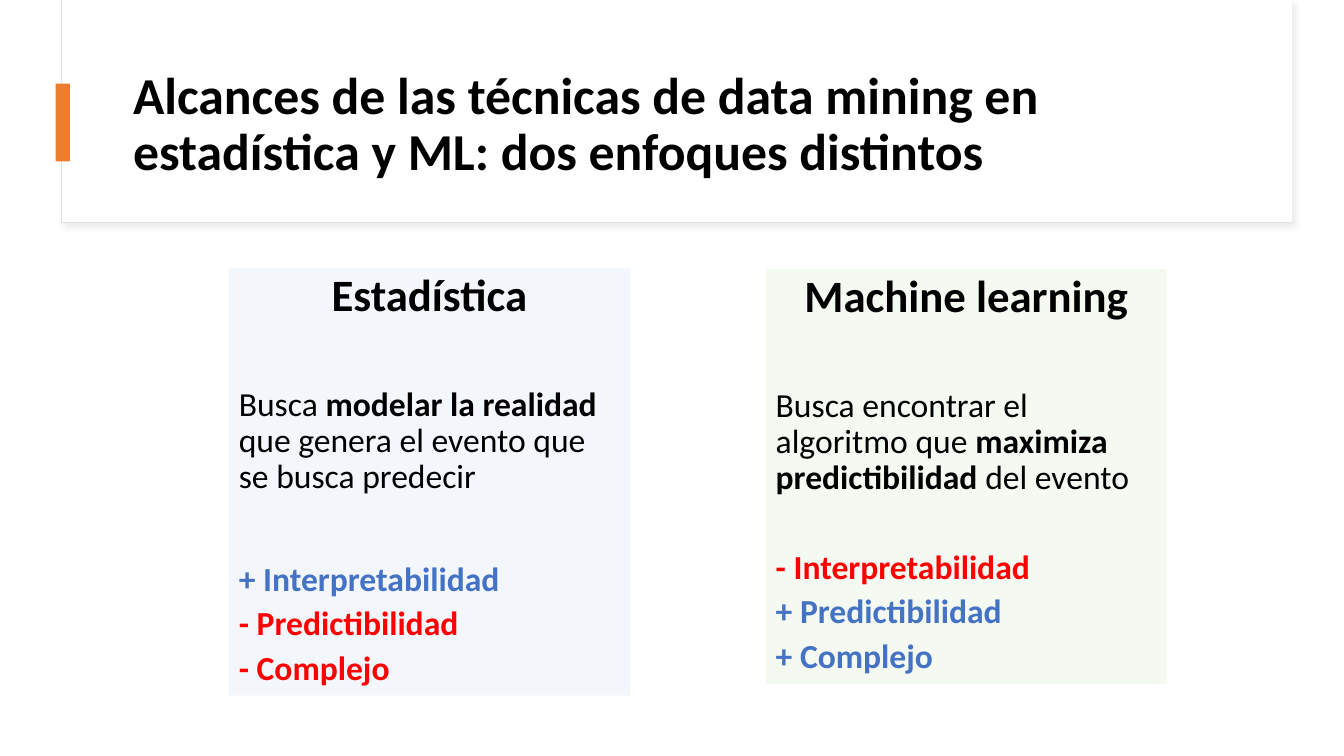
from dataclasses import dataclass

import pptx
import pptx.dml.color
import pptx.enum.shapes
import pptx.enum.text
import pptx.oxml
import pptx.oxml.ns
import pptx.util

Cm = pptx.util.Cm
Pt = pptx.util.Pt
ALIGN = pptx.enum.text.PP_ALIGN
ANCHOR = pptx.enum.text.MSO_ANCHOR


@dataclass(frozen=True)
class Theme:
    font: str = "Calibri"
    title_size: int = 37
    heading_size: int = 32
    body_size: int = 24
    black: str = "000000"
    white: str = "FFFFFF"
    border: str = "E1E1E1"
    shadow: str = "D9D9D9"
    accent: str = "ED7D31"
    plus: str = "4472C4"
    minus: str = "FF0000"
    blue_card: str = "DEEBF7"
    green_card: str = "E2F0D9"


THEME = Theme()


def rgb(color):
    return pptx.dml.color.RGBColor.from_string(color)


def apply(target, values):
    for name, value in values.items():
        setattr(target, name, value)


def add_rect(s, box, fill, border=None, alpha=None):
    sp = s.shapes.add_shape(pptx.enum.shapes.MSO_SHAPE.RECTANGLE,
                            *(Cm(v) for v in box))
    sp.shadow.inherit = False
    sp.fill.solid()
    sp.fill.fore_color.rgb = rgb(fill)
    if border:
        sp.line.color.rgb = rgb(border)
        sp.line.width = Pt(0.75)
    else:
        sp.line.fill.background()
    if alpha:
        clr = sp.fill._xPr.find(".//" + pptx.oxml.ns.qn("a:srgbClr"))
        clr.append(pptx.oxml.parse_xml(
            f'<a:alpha {pptx.oxml.ns.nsdecls("a")} val="{alpha * 1000}"/>'))
    return sp


def add_shadow(sp):
    effects = sp.element.spPr.find(pptx.oxml.ns.qn("a:effectLst"))
    effects.append(pptx.oxml.parse_xml(
        f'<a:outerShdw {pptx.oxml.ns.nsdecls("a")} blurRad="{Pt(4)}" '
        f'dist="{Pt(3)}" dir="2700000" algn="tl" rotWithShape="0">'
        f'<a:srgbClr val="{THEME.shadow}"><a:alpha val="50000"/></a:srgbClr>'
        '</a:outerShdw>'))


def add_run(p, text, size, color=THEME.black, bold=False):
    r = p.add_run()
    r.text = text
    apply(r.font, {"name": THEME.font, "size": Pt(size), "bold": bold})
    r.font.color.rgb = rgb(color)


def add_title(s, text):
    title = s.shapes.title
    apply(title, {"left": Cm(3.1), "top": Cm(1.52),
                  "width": Cm(28.24), "height": Cm(3.28)})
    tf = title.text_frame
    apply(tf, {"word_wrap": True, "vertical_anchor": ANCHOR.MIDDLE,
               "auto_size": pptx.enum.text.MSO_AUTO_SIZE.NONE})
    p = tf.paragraphs[0]
    apply(p, {"alignment": ALIGN.LEFT, "line_spacing": 0.9})
    add_run(p, text, THEME.title_size, bold=True)
    # Bring the title in front of the header frame
    title.element.getparent().append(title.element)


def add_card(s, box, fill, heading, description, verdicts, verdict_gap):
    tf = add_rect(s, box, fill, alpha=36).text_frame
    apply(tf, {"word_wrap": True, "vertical_anchor": ANCHOR.TOP})

    def add_paragraph(before=0, align=ALIGN.LEFT):
        p = tf.add_paragraph() if tf.paragraphs[0].runs else tf.paragraphs[0]
        apply(p, {"alignment": align, "line_spacing": 0.9,
                  "space_after": Pt(6)})
        if before:
            p.space_before = Pt(before)
        return p

    add_run(add_paragraph(align=ALIGN.CENTER), heading,
            THEME.heading_size, bold=True)

    p = add_paragraph(before=41)
    for text, bold in description:
        add_run(p, text, THEME.body_size, bold=bold)

    # Strengths in blue, weaknesses in red
    for i, text in enumerate(verdicts):
        color = THEME.plus if text.startswith("+") else THEME.minus
        add_run(add_paragraph(before=0 if i else verdict_gap), text,
                THEME.body_size, color, True)


def main():
    prs = pptx.Presentation()
    prs.slide_width, prs.slide_height = Cm(33.87), Cm(19.05)
    s = prs.slides.add_slide(prs.slide_layouts[5])

    # Header
    add_shadow(add_rect(s, (1.55, 0, 31.01, 5.61), THEME.white, THEME.border))
    add_rect(s, (1.57, 0, 30.99, 5.59), THEME.white)
    add_title(s, "Alcances de las técnicas de data mining en "
                 "estadística y ML: dos enfoques distintos")
    add_rect(s, (1.4, 2.11, 0.36, 1.96), THEME.accent)

    # The two approaches
    add_card(s, (5.77, 6.76, 10.11, 10.77), THEME.blue_card, "Estadística",
             [("Busca ", False), ("modelar la realidad ", True),
              ("que genera el evento que se busca predecir", False)],
             ["+ Interpretabilidad", "- Predictibilidad", "- Complejo"], 41)
    add_card(s, (19.3, 6.78, 10.11, 10.46), THEME.green_card,
             "Machine learning",
             [("Busca encontrar el algoritmo que ", False),
              ("maximiza predictibilidad ", True), ("del evento", False)],
             ["- Interpretabilidad", "+ Predictibilidad", "+ Complejo"], 32)

    prs.save("out.pptx")


if __name__ == "__main__":
    main()
